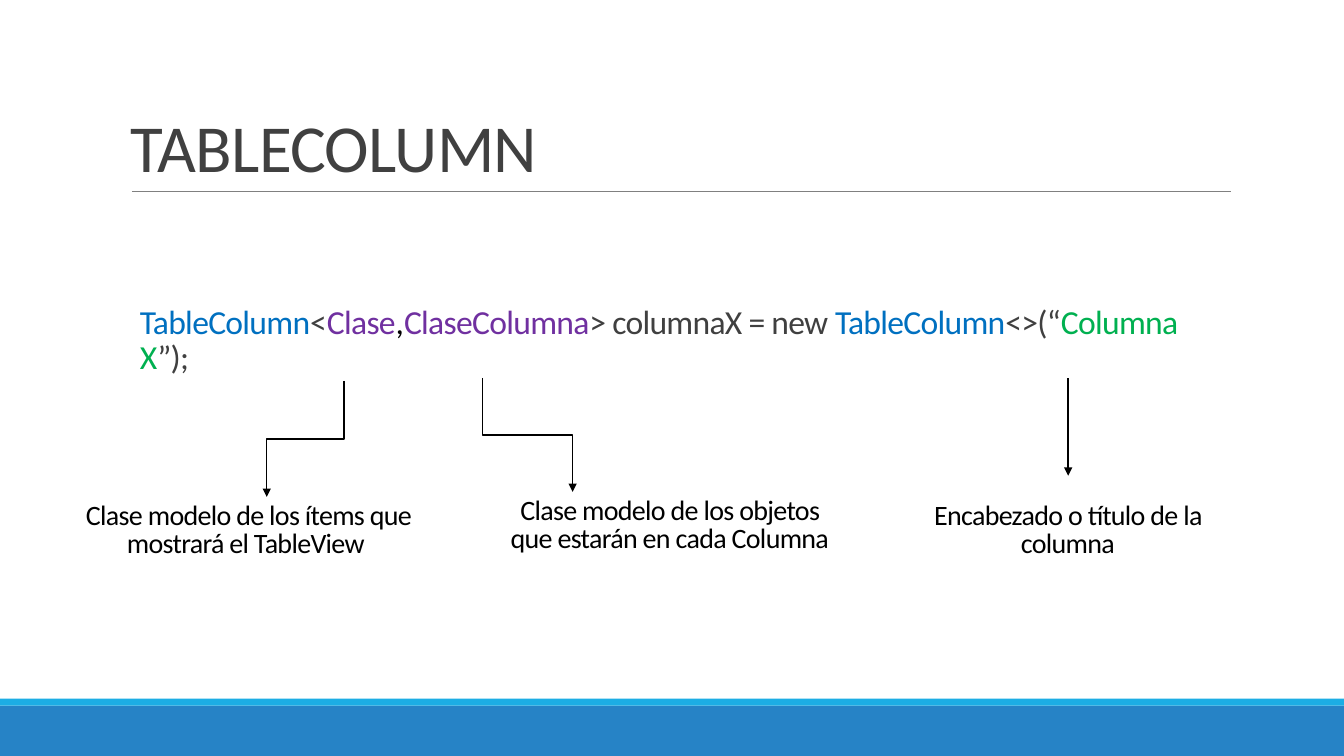
from dataclasses import dataclass

from lxml.etree import SubElement
from pptx import Presentation
from pptx.dml.color import RGBColor
from pptx.enum.shapes import MSO_CONNECTOR as Link, MSO_SHAPE as Preset
from pptx.enum.text import MSO_ANCHOR as Anchor, PP_ALIGN as Align
from pptx.oxml.ns import qn
from pptx.util import Pt


@dataclass(frozen=True)
class Theme:
    """Colours, type sizes and spacing of the slide."""
    font: str = "Calibri"
    title_size: float = 48
    code_size: float = 24
    note_size: float = 20
    line_spacing: float = 0.85
    tracking: str = "-50"
    ink: str = "404040"
    black: str = "000000"
    keyword: str = "0070C0"
    parameter: str = "7030A0"
    literal: str = "00B050"
    rule: str = "808080"
    band: str = "2683C6"
    stripe: str = "1CADE4"


@dataclass(frozen=True)
class Box:
    """A rectangle in points."""
    left: float
    top: float
    width: float
    height: float

    def lengths(self) -> tuple:
        """Return the four lengths for a shape call."""
        return Pt(self.left), Pt(self.top), Pt(self.width), Pt(self.height)


@dataclass(frozen=True)
class Note:
    """An explanation and the arrow that leads to it."""
    text: str
    box: Box
    start: tuple[float, float]
    end: tuple[float, float]


THEME = Theme()
WIDTH, HEIGHT = 960, 540
NOTE_WIDTH = 248.4

TITLE = [("TABLECOLUMN", THEME.ink)]
DECLARATION = [
    ("TableColumn", THEME.keyword),
    ("<", THEME.ink),
    ("Clase", THEME.parameter),
    (",", THEME.black),
    ("ClaseColumna", THEME.parameter),
    ("> columnaX = new ", THEME.ink),
    ("TableColumn", THEME.keyword),
    ("<>(“", THEME.ink),
    ("Columna X", THEME.literal),
    ("”);", THEME.ink),
]
NOTES = [
    Note("Clase modelo de los ítems que mostrará el TableView ",
         Box(53.3, 355, NOTE_WIDTH, 48.2), (245.7, 272), (190.5, 354.9)),
    Note("Clase modelo de los objetos que estarán en cada Columna",
         Box(354.2, 351.4, NOTE_WIDTH, 48.2), (344.8, 270), (409, 351.4)),
    Note("Encabezado o título de la columna",
         Box(638.6, 352.8, NOTE_WIDTH, 50.4), (763, 270), (763, 339.8)),
]


def add_band(slide, box: Box, colour: str) -> None:
    """Draw a plain filled band."""
    band = slide.shapes.add_shape(Preset.RECTANGLE, *box.lengths())
    band.shadow.inherit = False
    band.fill.solid()
    band.fill.fore_color.rgb = RGBColor.from_string(colour)
    band.line.fill.background()


def add_text(slide, box: Box, parts: list[tuple[str, str]], size: float,
             align=Align.LEFT) -> None:
    """Write one bottom-anchored paragraph of coloured runs."""
    frame = slide.shapes.add_textbox(*box.lengths()).text_frame
    frame.word_wrap = True
    frame.vertical_anchor = Anchor.BOTTOM
    paragraph = frame.paragraphs[0]
    paragraph.alignment = align
    paragraph.line_spacing = THEME.line_spacing
    for text, colour in parts:
        run = paragraph.add_run()
        run.text = text
        run.font.name = THEME.font
        run.font.size = Pt(size)
        run.font.color.rgb = RGBColor.from_string(colour)
        run.font._element.set("spc", THEME.tracking)


def add_line(slide, kind, start: tuple[float, float], end: tuple[float, float],
             colour: str, weight: float):
    """Draw a connector without shadow and return it."""
    line = slide.shapes.add_connector(kind, *map(Pt, start + end))
    line.line.color.rgb = RGBColor.from_string(colour)
    line.line.width = Pt(weight)
    SubElement(line.element.spPr, qn("a:effectLst"))
    return line


def add_arrow(slide, start: tuple[float, float], end: tuple[float, float]) -> None:
    """Draw a downward arrow, with a sideways step where the ends differ."""
    (x1, y1), (x2, y2) = start, end
    kind = Link.STRAIGHT
    if x1 != x2:
        # A vertical elbow is a horizontal one turned about its centre.
        kind = Link.ELBOW
        middle_x, middle_y = (x1 + x2) / 2, (y1 + y2) / 2
        half_drop, half_step = (y2 - y1) / 2, abs(x2 - x1) / 2
        side = 1 if x2 < x1 else -1
        start = (middle_x - side * half_drop, middle_y - half_step)
        end = (middle_x + side * half_drop, middle_y + half_step)
    arrow = add_line(slide, kind, start, end, THEME.black, 1)
    if kind == Link.ELBOW:
        angle = 90 if x2 < x1 else 270
        arrow.element.spPr.find(qn("a:xfrm")).set("rot", str(angle * 60000))
    SubElement(arrow.line._get_or_add_ln(), qn("a:tailEnd"), type="triangle")


def main() -> None:
    """Build and save the slide."""
    deck = Presentation()
    deck.slide_width, deck.slide_height = Pt(WIDTH), Pt(HEIGHT)
    slide = deck.slides.add_slide(deck.slide_layouts[6])

    add_band(slide, Box(0, 504, WIDTH, 36), THEME.band)
    add_band(slide, Box(0, 499, WIDTH, 5), THEME.stripe)
    add_line(slide, Link.STRAIGHT, (94.3, 136.8), (879, 136.8), THEME.rule, 0.5)
    add_text(slide, Box(86.4, 22.3, 792, 114.5), TITLE, THEME.title_size)
    add_text(slide, Box(92.9, 217.4, 792, 54.7), DECLARATION, THEME.code_size)
    for note in NOTES:
        add_text(slide, note.box, [(note.text, THEME.black)], THEME.note_size,
                 Align.CENTER)
        add_arrow(slide, note.start, note.end)

    deck.save("out.pptx")


main()
